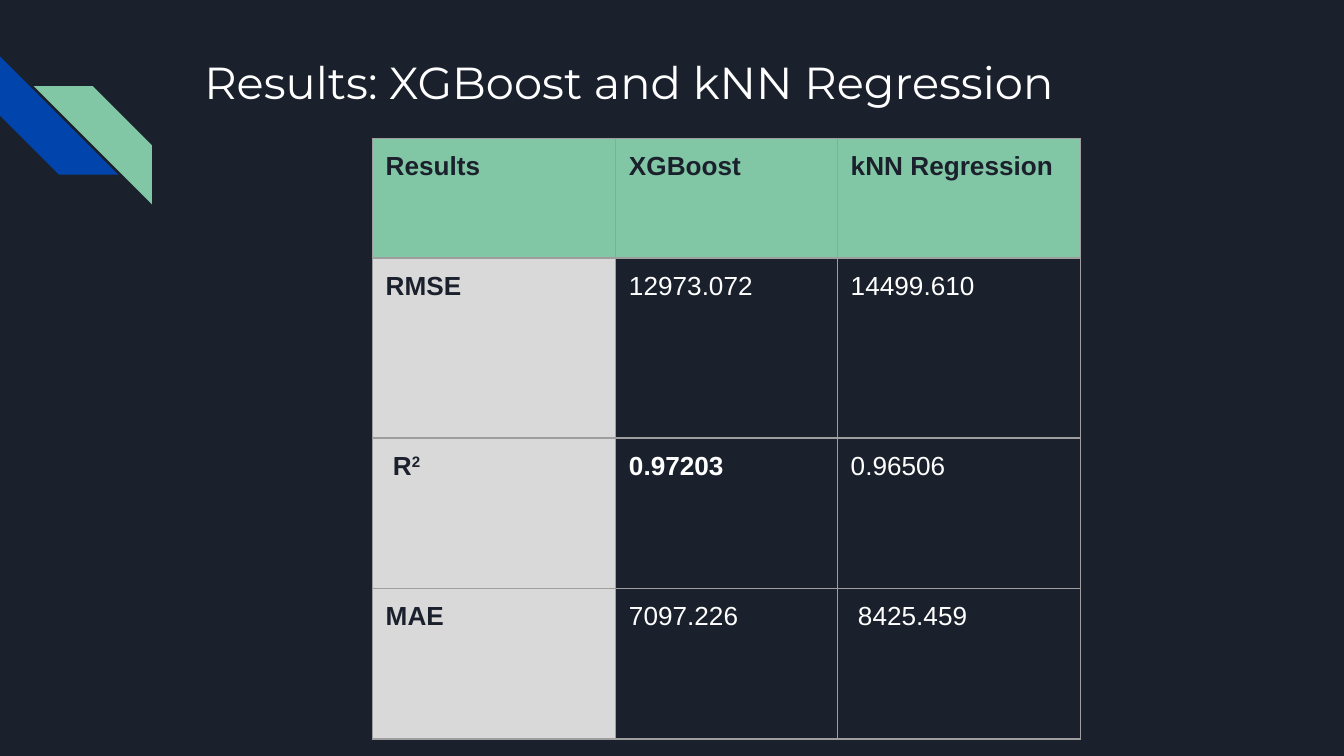
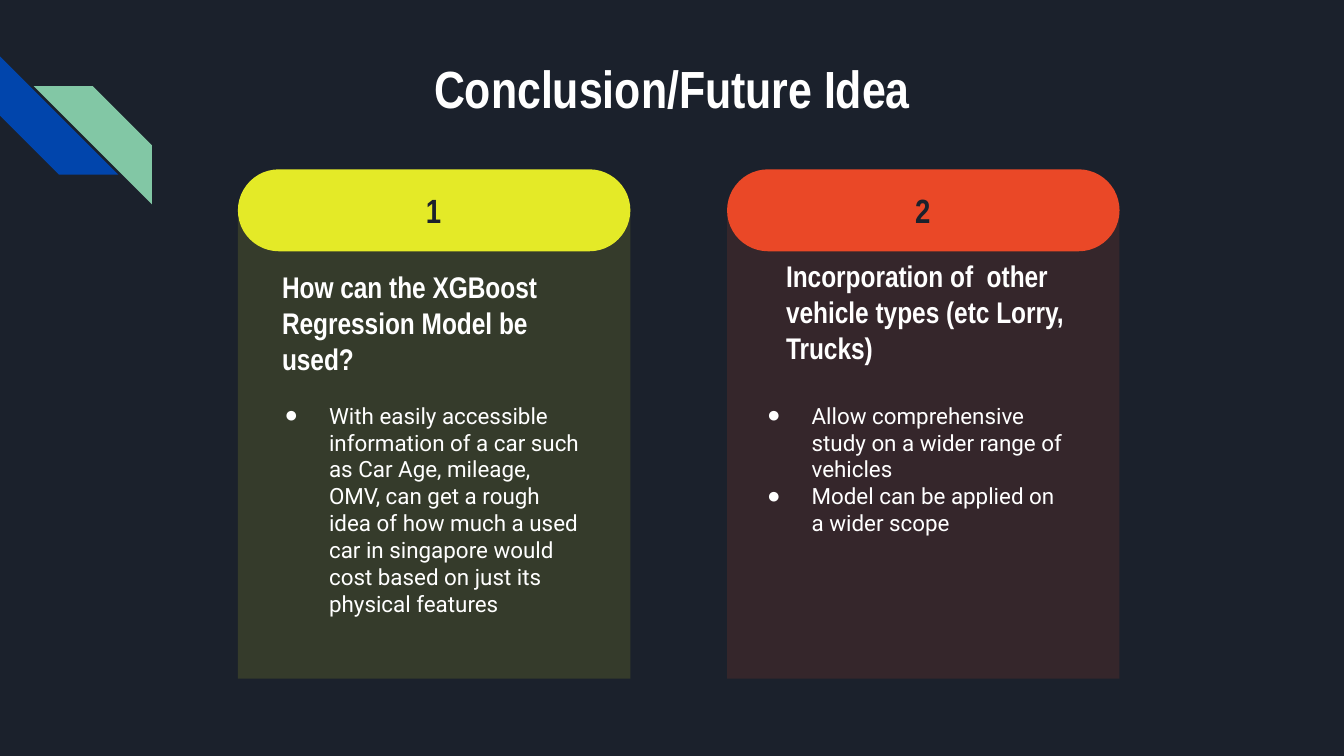
"""Builds the two results and conclusion slides."""
from dataclasses import dataclass

from lxml import etree
from pptx import Presentation
from pptx import util as u
from pptx.dml import color
from pptx.enum import shapes, text
from pptx.oxml import ns

NAVY, BLUE, GREEN, WHITE = "1B212C", "0145AC", "82C7A5", "FFFFFF"
GREY, RULE, YELLOW, ORANGE = "D9D9D9", "9E9E9E", "E4EA27", "EA4827"
TOP, MIDDLE = text.MSO_ANCHOR.TOP, text.MSO_ANCHOR.MIDDLE
LEFT, CENTER = text.PP_ALIGN.LEFT, text.PP_ALIGN.CENTER
NARROW = "Arial Narrow"
INSET = 0.1
CARD_WIDTH = 2.92


@dataclass
class Area:
    """A rectangle on the slide, in inches."""
    left: float
    top: float
    width: float
    height: float

    def lengths(self) -> list:
        """Return the sides as slide lengths."""
        return [u.Inches(v) for v in (self.left, self.top, self.width, self.height)]


@dataclass
class Card:
    """A numbered idea with its heading and bullet points."""
    number: str
    left: float
    colour: str
    heading: str
    heading_left: float
    heading_top: float
    points: list
    points_left: float


CARDS = [
    Card("1", 1.77, YELLOW, "How can the XGBoost Regression Model be used?", 2, 1.97,
         ["With easily accessible information of a car such as Car Age, mileage, OMV, "
          "can get a rough idea of how much a used car in singapore would cost based on "
          "just its physical features"], 2),
    Card("2", 5.41, ORANGE, "Incorporation of  other vehicle types (etc Lorry, Trucks)", 5.75, 1.89,
         ["Allow comprehensive study on a wider range of vehicles",
          "Model can be applied on a wider scope"], 5.59),
]
RESULTS = [
    ["Results", "XGBoost", "kNN Regression"],
    ["RMSE", "12973.072", "14499.610"],
    [" R", "0.97203", "0.96506"],
    ["MAE", "7097.226", " 8425.459"],
]
BEST = (2, 1)
COLUMN_WIDTHS = [1.81, 1.65, 1.81]
ROW_HEIGHTS = [0.89, 1.34, 1.12, 1.12]


def paint(target, colour: str) -> None:
    """Give a fill a solid colour."""
    target.solid()
    target.fore_color.rgb = color.RGBColor.from_string(colour)


def write(para, words: str, *, size: float, font: str, colour: str = WHITE,
          bold: bool = False, align=LEFT, raised: bool = False) -> None:
    """Add formatted words to a paragraph."""
    para.alignment = align
    span = para.add_run()
    span.text = words
    span.font.size, span.font.name, span.font.bold = u.Pt(size), font, bold
    paint(span.font.fill, colour)
    if raised:
        span.font._element.set("baseline", "30000")


def set_frame(frame, anchor=TOP, top: float = INSET, bottom: float = INSET) -> None:
    """Set wrapping, anchor and insets of a text frame."""
    frame.word_wrap = True
    frame.auto_size = text.MSO_AUTO_SIZE.NONE
    frame.vertical_anchor = anchor
    frame.margin_left = frame.margin_right = u.Inches(INSET)
    frame.margin_top, frame.margin_bottom = u.Inches(top), u.Inches(bottom)


def add_block(page, kind, area: Area, colour: str, opacity: int = 100):
    """Add a filled shape without line or shadow."""
    block = page.shapes.add_shape(kind, *area.lengths())
    block.shadow.inherit = False
    block.line.fill.background()
    paint(block.fill, colour)
    if opacity < 100:
        tint = block.element.spPr.find(".//" + ns.qn("a:srgbClr"))
        etree.SubElement(tint, ns.qn("a:alpha"), val=str(opacity * 1000))
    return block


def add_textbox(page, area: Area, **frame_format):
    """Add a text box and return its frame."""
    frame = page.shapes.add_textbox(*area.lengths()).text_frame
    set_frame(frame, **frame_format)
    return frame


def add_page(deck, title: str, area: Area, anchor, **title_format):
    """Add a slide with the corner stripes and a formatted title."""
    page = deck.slides.add_slide(deck.slide_layouts[5])
    paint(page.background.fill, NAVY)
    stripe = shapes.MSO_SHAPE.DIAGONAL_STRIPE
    lower = add_block(page, stripe, Area(0, 0.42, 0.88, 0.88), BLUE)
    lower.rotation = 270
    upper = add_block(page, stripe, Area(0.25, 0.64, 0.88, 0.88), GREEN)
    upper.element.spPr.find(ns.qn("a:xfrm")).set("flipH", "1")
    box = page.shapes.title
    box.left, box.top, box.width, box.height = area.lengths()
    set_frame(box.text_frame, anchor)
    write(box.text_frame.paragraphs[0], title, **title_format)
    return page


def add_borders(cell) -> None:
    """Draw a thin rule on each side of a cell."""
    properties = cell._tc.get_or_add_tcPr()
    for index, side in enumerate(("lnL", "lnR", "lnT", "lnB")):
        line = etree.Element(ns.qn(f"a:{side}"), w=str(u.Pt(0.75)), cap="flat", cmpd="sng")
        fill = etree.SubElement(line, ns.qn("a:solidFill"))
        etree.SubElement(fill, ns.qn("a:srgbClr"), val=RULE)
        etree.SubElement(line, ns.qn("a:prstDash"), val="solid")
        properties.insert(index, line)


def add_results_table(page) -> None:
    """Add the table of model scores."""
    area = Area(2.77, 1.03, sum(COLUMN_WIDTHS), sum(ROW_HEIGHTS))
    table = page.shapes.add_table(len(RESULTS), len(COLUMN_WIDTHS), *area.lengths()).table
    table.first_row = table.horz_banding = False
    for column, width in zip(table.columns, COLUMN_WIDTHS):
        column.width = u.Inches(width)
    for r, (row, height) in enumerate(zip(RESULTS, ROW_HEIGHTS)):
        table.rows[r].height = u.Inches(height)
        for c, words in enumerate(row):
            cell = table.cell(r, c)
            cell.margin_left = cell.margin_right = u.Inches(INSET)
            cell.margin_top = cell.margin_bottom = u.Inches(INSET)
            label = r == 0 or c == 0
            if label:
                paint(cell.fill, GREEN if r == 0 else GREY)
            else:
                cell.fill.background()
            style = dict(size=14, font="Arial", colour=NAVY if label else WHITE,
                         bold=label or (r, c) == BEST)
            para = cell.text_frame.paragraphs[0]
            write(para, words, **style)
            if words == " R":
                write(para, "2", raised=True, **style)
            add_borders(cell)


def add_bullet(para) -> None:
    """Give a paragraph a hanging white bullet."""
    properties = para._p.get_or_add_pPr()
    properties.set("marL", str(u.Inches(0.35)))
    properties.set("indent", str(u.Inches(-0.33)))
    tint = etree.SubElement(properties, ns.qn("a:buClr"))
    etree.SubElement(tint, ns.qn("a:srgbClr"), val=WHITE)
    etree.SubElement(properties, ns.qn("a:buFont"), typeface="Arial")
    etree.SubElement(properties, ns.qn("a:buChar"), char="●")


def add_card(page, card: Card) -> None:
    """Add one idea: panel, numbered pill, heading and points."""
    add_block(page, shapes.MSO_SHAPE.RECTANGLE, Area(card.left, 1.55, CARD_WIDTH, 3.5),
              card.colour, opacity=13)
    pill = add_block(page, shapes.MSO_SHAPE.ROUNDED_RECTANGLE,
                     Area(card.left, 1.26, CARD_WIDTH, 0.61), card.colour)
    pill.adjustments[0] = 0.5
    number = add_textbox(page, Area(card.left + 0.23, 1.38, 2.45, 0.36), anchor=MIDDLE)
    write(number.paragraphs[0], card.number, size=18, font=NARROW,
          colour=NAVY, bold=True, align=CENTER)
    heading = add_textbox(page, Area(card.heading_left, card.heading_top, 2.31, 1.16),
                          anchor=MIDDLE, top=0, bottom=0.3)
    write(heading.paragraphs[0], card.heading, size=16, font=NARROW, bold=True)
    points = add_textbox(page, Area(card.points_left, 2.89, 2.45, 1.94))
    for index, point in enumerate(card.points):
        para = points.add_paragraph() if index else points.paragraphs[0]
        write(para, point, size=12, font="Roboto")
        add_bullet(para)


def main() -> None:
    """Build and save the deck."""
    deck = Presentation()
    deck.slide_width = u.Inches(10)
    deck.slide_height = deck.slide_width * 9 // 16
    results = add_page(deck, "Results: XGBoost and kNN Regression", Area(1.42, 0.31, 7.7, 1),
                       TOP, size=24, font="Montserrat")
    add_results_table(results)
    conclusion = add_page(deck, "Conclusion/Future Idea", Area(0.5, 0.45, 9, 0.41),
                          MIDDLE, size=28, font=NARROW, bold=True, align=CENTER)
    for card in CARDS:
        add_card(conclusion, card)
    deck.save("out.pptx")


if __name__ == "__main__":
    main()
